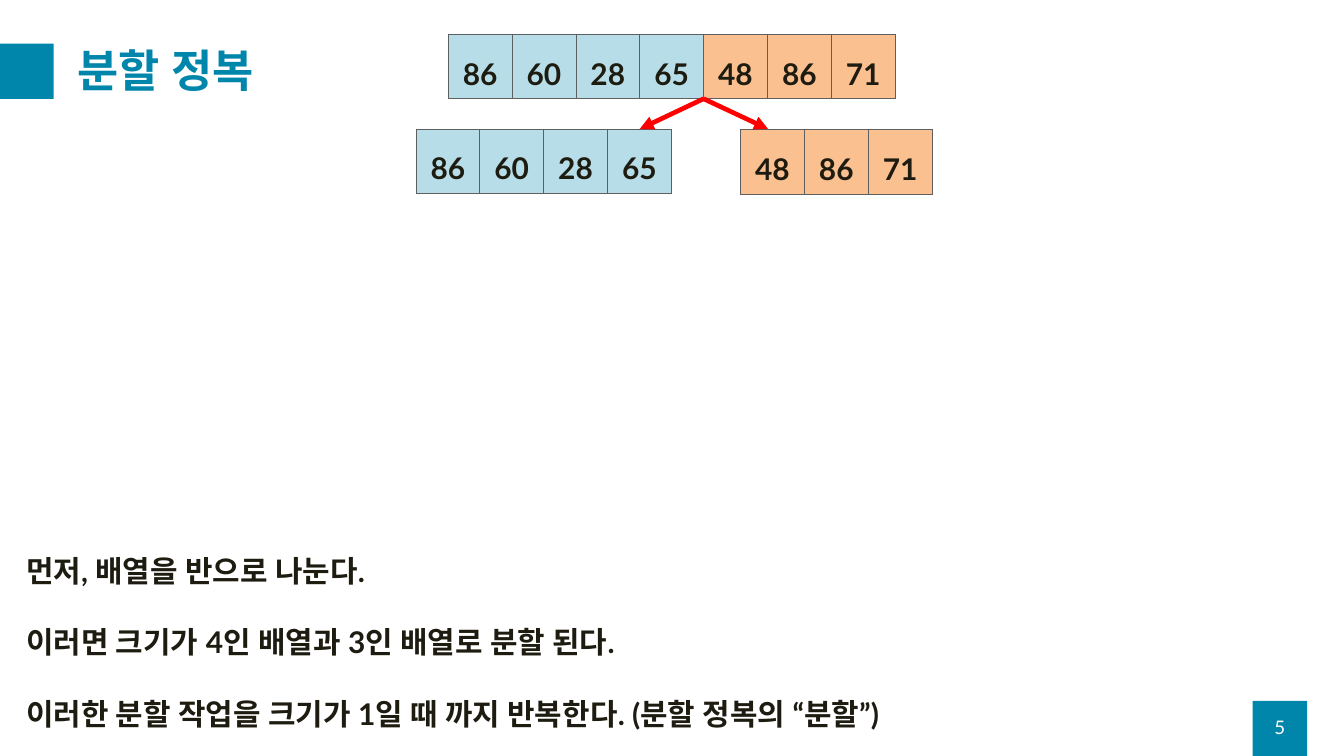
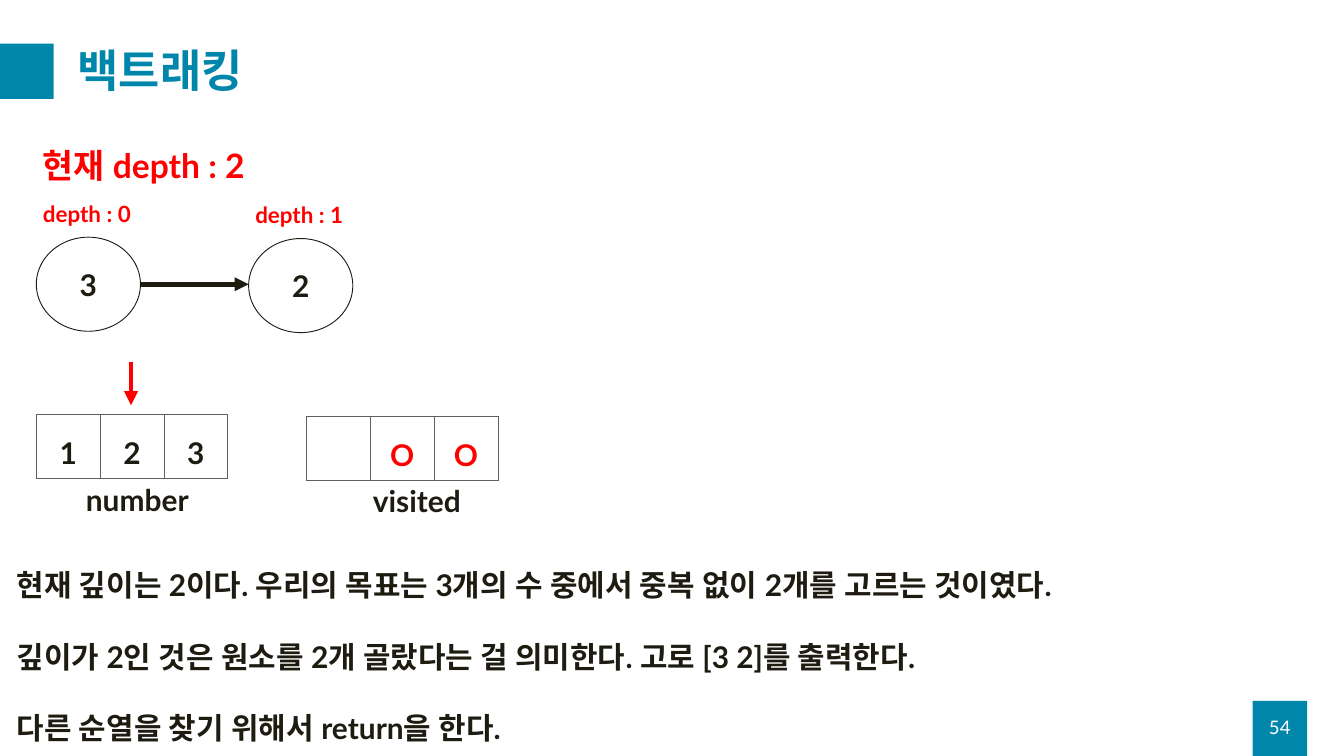
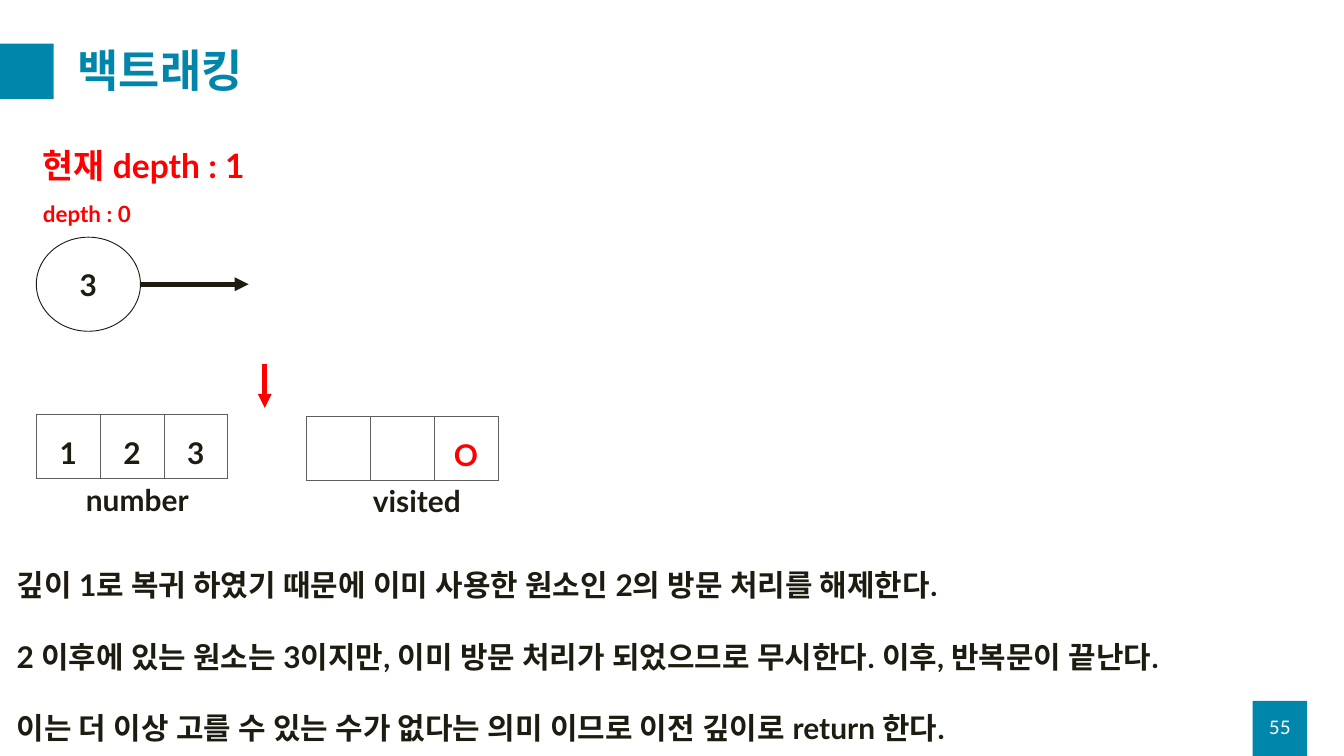
"""Build three lecture slides on divide and conquer and on backtracking."""
from lxml.etree import SubElement
from pptx import Presentation
from pptx.dml.color import RGBColor
from pptx.enum.shapes import MSO_CONNECTOR, MSO_SHAPE
from pptx.enum.text import MSO_ANCHOR, PP_ALIGN
from pptx.oxml.ns import qn
from pptx.util import Inches, Pt

TEAL = RGBColor(0x00, 0x86, 0xAB)
WHITE = RGBColor(0xFF, 0xFF, 0xFF)
INK = RGBColor(0x1E, 0x1C, 0x11)
RED = RGBColor(0xFF, 0x00, 0x00)
BLUE = RGBColor(0xB7, 0xDE, 0xE8)
ORANGE = RGBColor(0xFA, 0xC0, 0x90)
BORDER = RGBColor(0x5F, 0x5F, 0x5F)
FONT = "Lato"
CELL_WIDTH = 0.95
CELL_HEIGHT = 0.96


def write_text(frame, text, size=32, color=INK, bold=True, align=PP_ALIGN.LEFT,
               anchor=None, line_spacing=None, space_after=0):
    frame.word_wrap = True
    if anchor is not None:
        frame.vertical_anchor = anchor
    for index, line in enumerate(text.split("\n")):
        paragraph = frame.add_paragraph() if index else frame.paragraphs[0]
        paragraph.alignment = align
        paragraph.space_after = Pt(space_after)
        if line_spacing:
            paragraph.line_spacing = line_spacing
        run = paragraph.add_run()
        run.text = line
        run.font.size = Pt(size)
        run.font.bold = bold
        run.font.name = FONT
        run.font.color.rgb = color
        SubElement(run.font._element, qn("a:ea"), typeface=FONT)


def add_box(slide, left, top, width, height, text, **text_format):
    box = slide.shapes.add_textbox(Inches(left), Inches(top), Inches(width), Inches(height))
    write_text(box.text_frame, text, **text_format)


left_half = [("86", BLUE), ("60", BLUE), ("28", BLUE), ("65", BLUE)]
right_half = [("48", ORANGE), ("86", ORANGE), ("71", ORANGE)]
numbers = [("1", WHITE), ("2", WHITE), ("3", WHITE)]
empty, mark = ("", WHITE), ("O", WHITE)
depth_arrow = (2.09, 4.23, 3.7, 4.23, INK)
first_node = (0.54, 3.53, "3", "depth : 0")

slide_contents = [
    {
        "title": "분할 정복",
        "number": "5",
        "notes_at": (0.29, 8.17),
        "notes": "먼저, 배열을 반으로 나눈다.\n"
                 "이러면 크기가 4인 배열과 3인 배열로 분할 된다.\n"
                 "이러한 분할 작업을 크기가 1일 때 까지 반복한다. (분할 정복의 “분할”)",
        "arrays": [
            (6.67, 0.51, left_half + right_half, INK),
            (6.19, 1.92, left_half, INK),
            (11.02, 1.93, right_half, INK),
        ],
        "nodes": [],
        "arrows": [(10.47, 1.47, 9.52, 1.92, RED), (10.47, 1.47, 11.43, 1.92, RED)],
        "labels": [],
    },
]

backtracking_steps = [
    ("54", "2", [empty, mark, mark], [first_node, (3.7, 3.55, "2", "depth : 1")], (1.95, 5.38),
     "현재 깊이는 2이다. 우리의 목표는 3개의 수 중에서 중복 없이 2개를 고르는 것이였다.\n"
     "깊이가 2인 것은 원소를 2개 골랐다는 걸 의미한다. 고로 [3 2]를 출력한다.\n"
     "다른 순열을 찾기 위해서 return을 한다."),
    ("55", "1", [empty, empty, mark], [first_node], (3.94, 5.42),
     "깊이 1로 복귀 하였기 때문에 이미 사용한 원소인 2의 방문 처리를 해제한다.\n"
     "2 이후에 있는 원소는 3이지만, 이미 방문 처리가 되었으므로 무시한다. 이후, 반복문이 끝난다.\n"
     "이는 더 이상 고를 수 있는 수가 없다는 의미 이므로 이전 깊이로 return 한다."),
]
for number, depth, visited, nodes, (pointer_x, pointer_y), notes in backtracking_steps:
    slide_contents.append({
        "title": "백트래킹",
        "number": number,
        "notes_at": (0.15, 8.38),
        "notes": notes,
        "arrays": [(0.54, 6.16, numbers, INK), (4.56, 6.19, visited, RED)],
        "nodes": nodes,
        "arrows": [depth_arrow, (pointer_x, pointer_y, pointer_x, pointer_y + 0.65, RED)],
        "labels": [
            (1.18, 7.12, 1.97, 0.64, "number", 32, INK),
            (5.45, 7.14, 1.97, 0.64, "visited", 32, INK),
            (0.54, 2.11, 6.56, 0.71, f"현재 depth : {depth}", 36, RED),
        ],
    })

presentation = Presentation()
presentation.slide_width = Inches(20)
presentation.slide_height = Inches(11.25)

for content in slide_contents:
    slide = presentation.slides.add_slide(presentation.slide_layouts[6])

    for left, top in [(18.64, 10.43), (-0.01, 0.65)]:
        band = slide.shapes.add_shape(
            MSO_SHAPE.RECTANGLE, Inches(left), Inches(top), Inches(0.81), Inches(0.82))
        band.shadow.inherit = False
        band.fill.solid()
        band.fill.fore_color.rgb = TEAL
        band.line.fill.background()

    add_box(slide, 1.06, 0.5, 18.25, 1.18, content["title"], size=48, color=TEAL,
            anchor=MSO_ANCHOR.MIDDLE, line_spacing=0.9)
    add_box(slide, 18.64, 10.52, 0.81, 0.6, content["number"], size=20, color=WHITE,
            bold=False, align=PP_ALIGN.CENTER, anchor=MSO_ANCHOR.MIDDLE)
    add_box(slide, *content["notes_at"], 19.16, 2.79, content["notes"], space_after=38.4)

    for left, top, cells, color in content["arrays"]:
        table = slide.shapes.add_table(
            1, len(cells), Inches(left), Inches(top),
            Inches(CELL_WIDTH * len(cells)), Inches(CELL_HEIGHT)).table
        table.first_row = False
        table.horz_banding = False
        for column, (value, fill) in enumerate(cells):
            table.columns[column].width = Inches(CELL_WIDTH)
            cell = table.cell(0, column)
            properties = cell._tc.get_or_add_tcPr()
            for side in ("a:lnL", "a:lnR", "a:lnT", "a:lnB"):
                border = SubElement(properties, qn(side), w=str(Pt(1)))
                border_fill = SubElement(border, qn("a:solidFill"))
                SubElement(border_fill, qn("a:srgbClr"), val=str(BORDER))
            cell.fill.solid()
            cell.fill.fore_color.rgb = fill
            if value:
                write_text(cell.text_frame, value, color=color,
                           align=PP_ALIGN.CENTER, line_spacing=1.5)

    for left, top, value, depth_label in content["nodes"]:
        node = slide.shapes.add_shape(
            MSO_SHAPE.OVAL, Inches(left), Inches(top), Inches(1.55), Inches(1.4))
        node.shadow.inherit = False
        node.fill.solid()
        node.fill.fore_color.rgb = WHITE
        node.line.color.rgb = INK
        node.line.width = Pt(1)
        write_text(node.text_frame, value, align=PP_ALIGN.CENTER, anchor=MSO_ANCHOR.MIDDLE)
        add_box(slide, left, top - 0.6, 1.55, 0.5, depth_label, size=24, color=RED)

    for start_x, start_y, end_x, end_y, color in content["arrows"]:
        arrow = slide.shapes.add_connector(
            MSO_CONNECTOR.STRAIGHT, Inches(start_x), Inches(start_y), Inches(end_x), Inches(end_y))
        arrow.line.color.rgb = color
        arrow.line.width = Pt(5)
        arrow_properties = arrow._element.spPr
        SubElement(arrow_properties.find(qn("a:ln")), qn("a:tailEnd"), type="triangle")
        SubElement(arrow_properties, qn("a:effectLst"))

    for left, top, width, height, text, size, color in content["labels"]:
        add_box(slide, left, top, width, height, text, size=size, color=color)

presentation.save("out.pptx")
